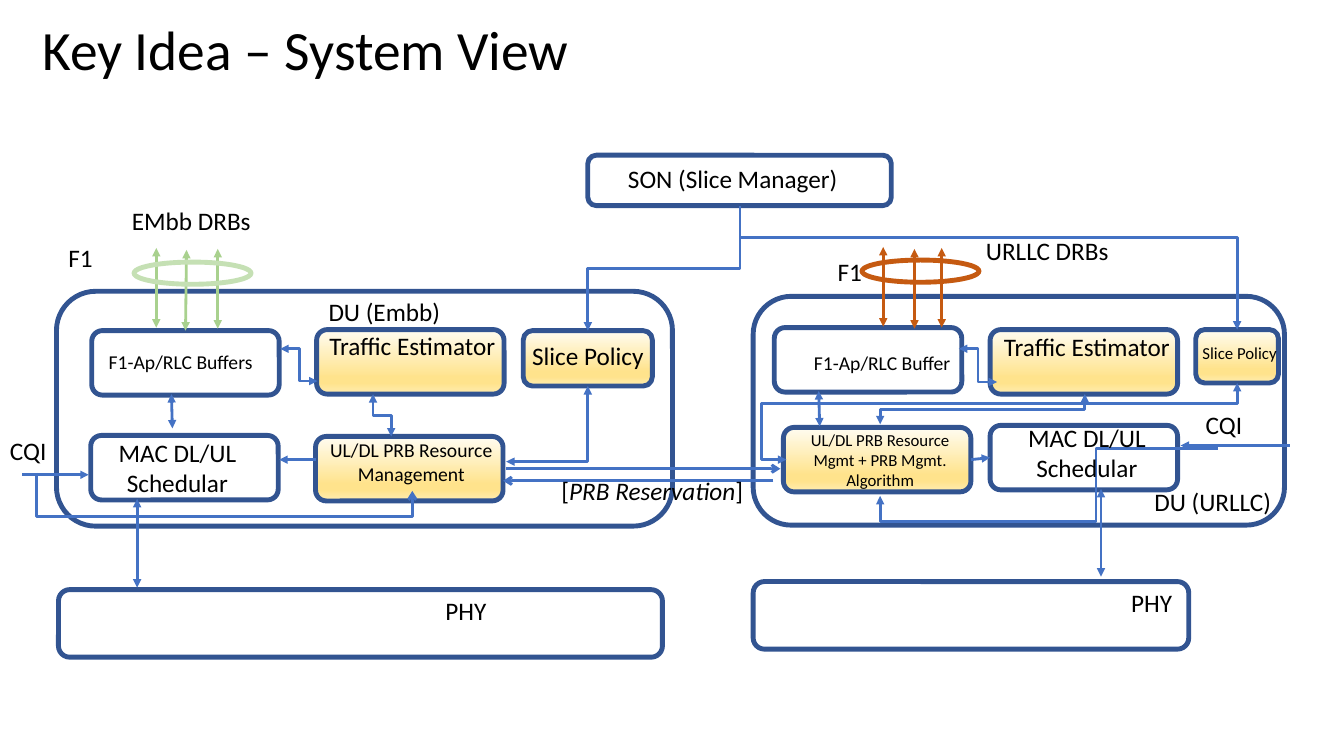
from dataclasses import dataclass

from lxml.etree import SubElement
from pptx import Presentation
from pptx.dml.color import RGBColor
from pptx.enum.shapes import MSO_CONNECTOR, MSO_SHAPE
from pptx.enum.text import MSO_ANCHOR, MSO_AUTO_SIZE, PP_ALIGN
from pptx.oxml.ns import qn
from pptx.shapes.autoshape import Shape
from pptx.shapes.connector import Connector
from pptx.slide import Slide
from pptx.util import Inches, Pt

COLUMNS, ROWS = 133.3, 75
CELL = Inches(0.1)

Point = tuple[float, float]
Area = tuple[float, float, float, float]  # column, row, columns wide, rows high


@dataclass(frozen=True)
class Theme:
    font: str = "Calibri"
    text: str = "000000"
    outline: str = "325491"
    link: str = "4472C4"
    embb: str = "A9D18E"
    embb_ring: str = "C5E0B4"
    urllc: str = "C55A11"
    gold: tuple[tuple[int, str], ...] = (
        (0, "FFFCF2"), (74, "FFE38C"), (83, "FFE38C"), (100, "FFECB2"))
    title_size: float = 39.6
    large: float = 18
    medium: float = 14
    small: float = 12
    outline_width: float = 3.5
    link_width: float = 2


THEME = Theme()


@dataclass(frozen=True)
class Box:
    name: str
    area: Area
    golden: bool = False


@dataclass(frozen=True)
class Label:
    text: str
    area: Area
    size: float = THEME.large
    centred: bool = False
    italic: str = ""


@dataclass(frozen=True)
class Link:
    points: tuple[Point, ...]
    head: str = ""
    tail: str = "triangle"
    color: str = THEME.link
    begin: tuple[str, int] | None = None
    end: tuple[str, int] | None = None


@dataclass(frozen=True)
class Bearers:
    tops: tuple[Point, ...]
    ring: Area
    color: str
    ring_color: str
    joined: dict[int, tuple[str, int]]


BOXES = [
    Box("embb unit", (5.6, 28.9, 61.1, 23.3)),
    Box("urllc unit", (74.7, 29.4, 52.7, 22.7)),
    Box("embb buffers", (9.1, 32.8, 18.6, 6.4)),
    Box("embb estimator", (31.4, 32.7, 18.6, 6.4), True),
    Box("embb policy", (51.9, 32.8, 12.8, 5.5), True),
    Box("embb scheduler", (9, 43.2, 18.6, 6.4)),
    Box("embb management", (31.3, 43.3, 18.6, 6.4), True),
    Box("embb phy", (5.8, 58.5, 59.9, 6.7)),
    Box("urllc buffers", (76.8, 32.5, 18.6, 6.4)),
    Box("urllc estimator", (98.2, 32.7, 18.6, 6.4), True),
    Box("urllc policy", (118.6, 32.7, 8.2, 5.3), True),
    Box("urllc management", (77.7, 42.4, 18.6, 6.4), True),
    Box("urllc scheduler", (98.2, 42.2, 18.6, 6.4)),
    Box("urllc phy", (74.7, 57.7, 43.2, 6.7)),
    Box("slice manager", (58.3, 15.4, 30.1, 5)),
]

LABELS = [
    Label("SON (Slice Manager)", (61.3, 15.7, 24.9, 4)),
    Label("EMbb DRBs", (12.1, 19.9, 15.5, 4)),
    Label("URLLC DRBs", (96.8, 22.9, 15.5, 4)),
    Label("F1", (5.8, 23.6, 7.5, 4)),
    Label("F1", (82.1, 24.9, 7.5, 4)),
    Label("DU (Embb)", (31.6, 28.9, 18.2, 4)),
    Label("DU (URLLC)", (113.5, 47.8, 18.2, 4)),
    Label("F1-Ap/RLC Buffers", (9.8, 34.2, 17, 3.4), THEME.medium),
    Label("F1-Ap/RLC Buffer", (78.5, 34.3, 18, 3.4), THEME.medium, True),
    Label("Traffic Estimator", (31.4, 32.3, 19, 4), centred=True),
    Label("Traffic Estimator", (98.3, 32.4, 19, 4), centred=True),
    Label("Slice Policy", (51.8, 33.3, 14.7, 4)),
    Label("Slice Policy", (117.8, 33.5, 10.3, 3), THEME.small, True),
    Label("MAC DL/UL Schedular", (8.3, 42.9, 18.6, 7.1), centred=True),
    Label("MAC DL/UL Schedular", (98.5, 41.4, 18.6, 7.1), centred=True),
    Label("UL/DL PRB Resource Management", (31.5, 43, 18.6, 5.7), THEME.medium, True),
    Label("UL/DL PRB Resource Mgmt + PRB Mgmt. Algorithm",
          (78, 42.1, 18.6, 7.1), THEME.small, True),
    Label("CQI", (0, 42.7, 12, 4.1)),
    Label("CQI", (118.6, 40.1, 12, 4.1)),
    Label("PHY", (43.2, 58.6, 7, 4)),
    Label("PHY", (111.2, 57.8, 7, 4)),
    Label("[PRB Reservation]", (51.1, 46.7, 27.2, 4), centred=True, italic="PRB Reservation"),
]

BOTH = "triangle"
LINKS = [
    Link(((73.4, 20.4), (73.4, 26.6), (58.3, 26.6), (58.3, 32.8))),
    Link(((73.4, 23.6), (122.7, 23.6), (122.7, 32.7))),
    Link(((27.8, 34.6), (29.7, 34.6), (29.7, 37.8), (31.5, 37.8)), BOTH),
    Link(((37, 39.1), (37, 41.2), (38.8, 41.2), (38.8, 43.3)), BOTH),
    Link(((58.3, 38.3), (58.3, 45.8), (50.2, 45.8)), BOTH),
    Link(((17, 39.1), (17.1, 42.5)), BOTH),
    Link(((31.3, 45.6), (27.7, 45.6))),
    Link(((2.2, 47.1), (8.8, 47.1))),
    Link(((3.6, 46.9), (3.6, 51.2), (40.9, 51.2), (40.9, 48.7)), tail="arrow"),
    Link(((13.6, 49.5), (13.6, 58.3)), BOTH),
    Link(((50.2, 46.5), (77.4, 46.5)), tail="arrow"),
    Link(((76.7, 47.7), (49.9, 47.7)), tail="arrow"),
    Link(((95.1, 34.6), (97, 34.6), (97, 37.9), (98.9, 37.9)), BOTH),
    Link(((87.3, 42.1), (87.3, 40.6), (107.6, 40.6), (107.6, 39.1)), BOTH),
    Link(((122.7, 38), (122.7, 40), (75.5, 40), (75.5, 45.6), (78, 45.6)), BOTH),
    Link(((81.2, 38.8), (81.3, 42.3)), BOTH),
    Link(((96.3, 45.6), (98.2, 45.4)),
         begin=("urllc management", 3), end=("urllc scheduler", 1)),
    Link(((127.9, 44.2), (117.1, 44.2))),
    Link(((120.8, 44.5), (108.7, 44.5), (108.7, 51.7), (87.3, 51.7), (87.3, 49.2))),
    Link(((109.2, 48.5), (109.2, 57.2)), BOTH),
]

BEARER_LENGTH = 7.9
BEARERS = [
    Bearers(((15.5, 24.6), (18.5, 24.8), (21.6, 24.7)), (13.3, 26, 11.6, 2.2),
            THEME.embb, THEME.embb_ring, {1: ("embb buffers", 0)}),
    Bearers(((87.6, 24.5), (90.7, 24.7), (93.4, 24.6)), (85.5, 25.8, 11.6, 2.2),
            THEME.urllc, THEME.urllc, {}),
]


def cells(*counts: float) -> list[int]:
    return [round(count * CELL) for count in counts]


def add_outline(slide: Slide, kind: MSO_SHAPE, area: Area, color: str) -> Shape:
    shape = slide.shapes.add_shape(kind, *cells(*area))
    shape.shadow.inherit = False
    shape.fill.background()
    shape.line.color.rgb = RGBColor.from_string(color)
    shape.line.width = Pt(THEME.outline_width)
    return shape


def fill_gold(shape: Shape) -> None:
    shape.fill.gradient()
    shape.fill.gradient_angle = 270
    stops = shape._element.spPr.find(qn("a:gradFill")).find(qn("a:gsLst"))
    stops.clear()
    for percent, color in THEME.gold:
        stop = SubElement(stops, qn("a:gs"), pos=str(percent * 1000))
        SubElement(stop, qn("a:srgbClr"), val=color)


def add_label(slide: Slide, label: Label) -> None:
    frame = slide.shapes.add_textbox(*cells(*label.area)).text_frame
    frame.word_wrap = True
    frame.auto_size = MSO_AUTO_SIZE.SHAPE_TO_FIT_TEXT
    paragraph = frame.paragraphs[0]
    parts = label.text.partition(label.italic) if label.italic else (label.text,)
    for part in parts:
        run = paragraph.add_run()
        run.text = part
        if part == label.italic:
            run.font.italic = True
    paragraph.alignment = PP_ALIGN.CENTER if label.centred else PP_ALIGN.LEFT
    paragraph.font.name = THEME.font
    paragraph.font.size = Pt(label.size)
    paragraph.font.color.rgb = RGBColor.from_string(THEME.text)


def add_elbow(slide: Slide, points: tuple[Point, ...]) -> Connector:
    """Add a bent connector through right-angled points, turned a quarter if it starts upright."""
    (x1, y1), (x2, y2) = points[0], points[-1]
    upright = points[1][0] == x1
    run, rise = (y2 - y1, x2 - x1) if upright else (x2 - x1, y2 - y1)
    left = (x1 + x2 - abs(run)) / 2
    top = (y1 + y2 - abs(rise)) / 2
    connector = slide.shapes.add_connector(
        MSO_CONNECTOR.ELBOW, *cells(left, top, left + abs(run), top + abs(rise)))
    properties = connector._element.spPr
    transform = properties.find(qn("a:xfrm"))
    if upright:
        transform.set("rot", str(90 * 60000))
    transform.set("flipH", str(int(run < 0)))
    transform.set("flipV", str(int((rise > 0) if upright else (rise < 0))))

    geometry = properties.find(qn("a:prstGeom"))
    geometry.set("prst", f"bentConnector{len(points) - 1 + (len(points) == 2)}")
    along = points[1][1] - y1 if upright else points[1][0] - x1
    across = points[2][0] - x1 if upright else points[2][1] - y1
    shares = [(along, run), (across, rise)][:len(points) - 3]
    guides = geometry.get_or_add_avLst()
    for number, (distance, span) in enumerate(shares, 1):
        name = "adj" if len(shares) == 1 else f"adj{number}"
        name = "adj1" if name == "adj" else name
        SubElement(guides, qn("a:gd"), name=name,
                   fmla=f"val {round(distance / span * 100000)}")
    return connector


def add_link(slide: Slide, link: Link, boxes: dict[str, Shape]) -> None:
    if len(link.points) == 2:
        begin, end = link.points
        connector = slide.shapes.add_connector(MSO_CONNECTOR.STRAIGHT, *cells(*begin, *end))
    else:
        connector = add_elbow(slide, link.points)
    if link.begin:
        connector.begin_connect(boxes[link.begin[0]], link.begin[1])
    if link.end:
        connector.end_connect(boxes[link.end[0]], link.end[1])
    connector.line.color.rgb = RGBColor.from_string(link.color)
    connector.line.width = Pt(THEME.link_width)
    properties = connector._element.spPr
    line = properties.find(qn("a:ln"))
    for tag, kind in (("a:headEnd", link.head), ("a:tailEnd", link.tail)):
        if kind:
            SubElement(line, qn(tag), type=kind)
    SubElement(properties, qn("a:effectLst"))


def add_bearers(slide: Slide, bearers: Bearers, boxes: dict[str, Shape]) -> None:
    for index, (column, row) in enumerate(bearers.tops):
        points = ((column, row), (column, row + BEARER_LENGTH))
        add_link(slide, Link(points, BOTH, color=bearers.color,
                             end=bearers.joined.get(index)), boxes)
    add_outline(slide, MSO_SHAPE.OVAL, bearers.ring, bearers.ring_color)


def set_title(slide: Slide, text: str) -> None:
    title = slide.shapes.title
    title.left, title.top, title.width, title.height = cells(3.2, 2, 115, 6.4)
    title.text_frame.text = text
    title.text_frame.auto_size = MSO_AUTO_SIZE.NONE
    title.text_frame.vertical_anchor = MSO_ANCHOR.MIDDLE
    paragraph = title.text_frame.paragraphs[0]
    paragraph.alignment = PP_ALIGN.LEFT
    paragraph.line_spacing = 0.9
    paragraph.font.name = THEME.font
    paragraph.font.size = Pt(THEME.title_size)
    paragraph.font.color.rgb = RGBColor.from_string(THEME.text)


def main() -> None:
    presentation = Presentation()
    presentation.slide_width, presentation.slide_height = cells(COLUMNS, ROWS)
    slide = presentation.slides.add_slide(presentation.slide_layouts[5])
    set_title(slide, "Key Idea – System View")
    boxes = {}
    for box in BOXES:
        shape = add_outline(slide, MSO_SHAPE.ROUNDED_RECTANGLE, box.area, THEME.outline)
        if box.golden:
            fill_gold(shape)
        boxes[box.name] = shape
    for link in LINKS:
        add_link(slide, link, boxes)
    for bearers in BEARERS:
        add_bearers(slide, bearers, boxes)
    for label in LABELS:
        add_label(slide, label)
    presentation.save("out.pptx")


if __name__ == "__main__":
    main()
